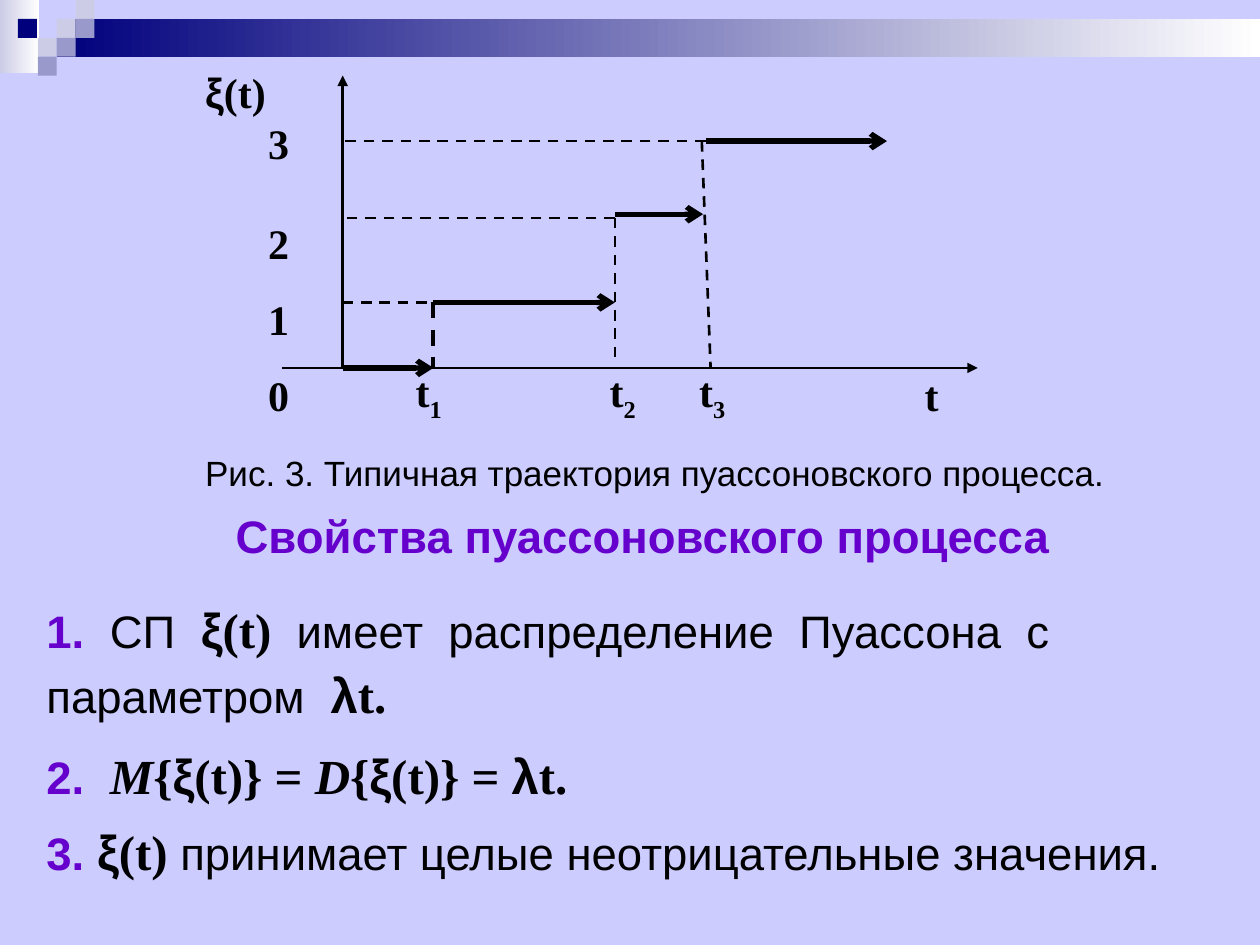
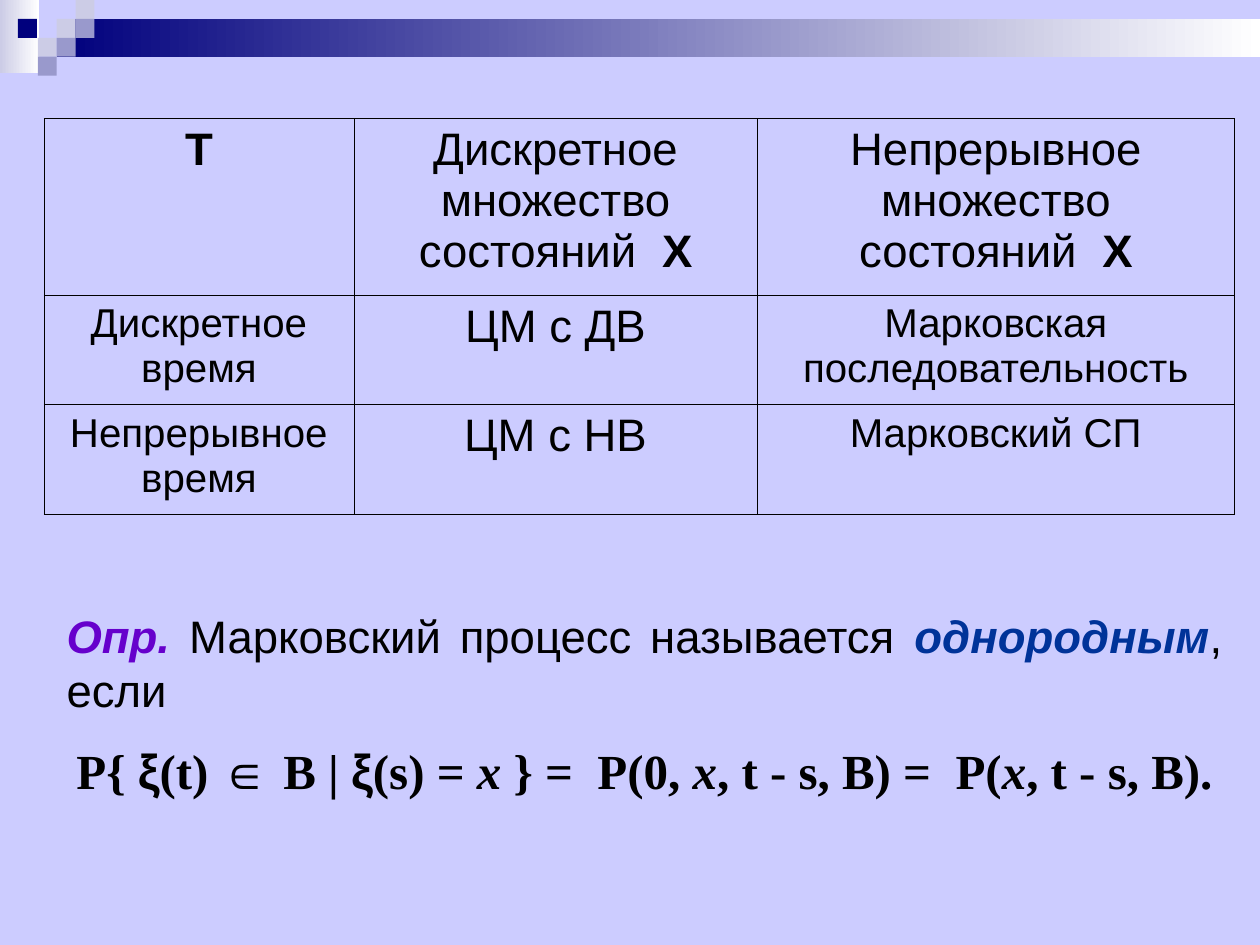
"""Two slides on the Poisson process and the classes of Markov processes."""
import pptx
import pptx.dml.color
import pptx.enum.dml
import pptx.enum.shapes
import pptx.enum.text
import pptx.oxml
import pptx.oxml.ns
import pptx.util
from lxml import etree

Inches, Pt = pptx.util.Inches, pptx.util.Pt
RGB = pptx.dml.color.RGBColor.from_string
ALIGN = pptx.enum.text.PP_ALIGN
RECTANGLE = pptx.enum.shapes.MSO_SHAPE.RECTANGLE
qn = pptx.oxml.ns.qn

COLORS = {"ground": "CCCCFF", "pale": "CCCCE6", "mid": "9999CC", "navy": "00007D",
          "white": "FFFFFF", "ink": "000000", "violet": "6600CC", "blue": "003399"}

STYLES = {
    "plain": ("Arial", 26, False, False, "ink"),
    "small": ("Arial", 23, False, False, "ink"),
    "strong": ("Arial", 26, True, False, "ink"),
    "caption": ("Arial", 20, False, False, "ink"),
    "heading": ("Arial", 26, True, False, "violet"),
    "definition": ("Arial", 26, True, True, "violet"),
    "term": ("Arial", 26, True, True, "blue"),
    "greek": ("Arial", 28, True, False, "ink"),
    "math": ("Times New Roman", 28, True, False, "ink"),
    "variable": ("Times New Roman", 28, True, True, "ink"),
    "axis greek": ("Arial", 24, True, False, "ink"),
    "axis": ("Times New Roman", 24, True, False, "ink"),
    "index": ("Times New Roman", 24, True, False, "ink"),
}


def write(paragraph, *pieces):
    """Add (style, text) pieces to a paragraph as runs."""
    for style, text in pieces:
        run = paragraph.add_run()
        run.text = text
        font = run.font
        font.name, size, font.bold, font.italic, color = STYLES[style]
        font.size = Pt(size)
        font.color.rgb = RGB(COLORS[color])
        if style == "index":
            font._element.set("baseline", "-25000")


def add_text(slide, left, top, width, height, wrap=True):
    """Add a vertically centred text box and return its text frame."""
    frame = slide.shapes.add_textbox(*map(Inches, (left, top, width, height))).text_frame
    frame.word_wrap = wrap
    frame.vertical_anchor = pptx.enum.text.MSO_ANCHOR.MIDDLE
    return frame


deck = pptx.Presentation()
deck.slide_width, deck.slide_height = Inches(10), Inches(7.5)
poisson = deck.slides.add_slide(deck.slide_layouts[5])
markov = deck.slides.add_slide(deck.slide_layouts[6])

master = deck.slide_master
master.background.fill.solid()
master.background.fill.fore_color.rgb = RGB(COLORS["ground"])

MODULE = 0.15
ornaments = [((0, 0, 0.31, 0.58), "pale", "white"),
             ((3 * MODULE, MODULE, 10 - 3 * MODULE, 2 * MODULE), "navy", "white")]
for column, row, color in [(3, 1, "pale"), (4, 0, "pale"), (4, 1, "mid"), (2, 2, "pale"),
                           (0.95, 1, "navy"), (3, 2, "mid"), (2, 3, "mid")]:
    ornaments.append(((column * MODULE, row * MODULE, MODULE, MODULE), color, None))
for number, (place, color, fade) in enumerate(ornaments, start=100):
    ornament = poisson.shapes.add_shape(RECTANGLE, *map(Inches, place))
    ornament.shadow.inherit = False
    ornament.line.fill.background()
    if fade:
        ornament.fill.gradient()
        ornament.fill.gradient_angle = 0
        for stop, tone, position in zip(ornament.fill.gradient_stops, (color, fade), (0, 1)):
            stop.color.rgb = RGB(COLORS[tone])
            stop.position = position
    else:
        ornament.fill.solid()
        ornament.fill.fore_color.rgb = RGB(COLORS[color])
    ornament.element.nvSpPr.cNvPr.set("id", str(number))
    master.shapes.element.append(ornament.element)

STEP = 0.72
origin = 2.72
t1, t2, t3, last, axis_end = [origin + STEP * n for n in (1, 3, 4, 6, 7)]
zero, one, two, three = 2.92, 2.4, 1.73, 1.12
jump = 1.7
trajectory = [
    (origin, zero, origin, 0.6, 1.5, "triangle"),
    (2.24, zero, axis_end, zero, 1.5, "triangle"),
    (origin, zero, t1, zero, 3, "arrow"),
    (t1, one, t2, one, 3, "arrow"),
    (t2, jump, t3 - 0.02, jump, 3, "arrow"),
    (t3, three, last, three, 3, "arrow"),
    (t1, one, t1, zero, 2.25, None),
    (t2, two, t2, 2.88, 1.5, None),
    (5.57, three, 5.64, zero, 1.5, None),
    (origin, one, t1, one, 1.5, None),
    (t2, two, origin, two, 1.5, None),
    (t3, three, origin, three, 1.5, None),
]
for x1, y1, x2, y2, weight, head in trajectory:
    segment = poisson.shapes.add_connector(pptx.enum.shapes.MSO_CONNECTOR.STRAIGHT,
                                           *map(Inches, (x1, y1, x2, y2)))
    segment.line.color.rgb = RGB(COLORS["ink"])
    segment.line.width = Pt(weight)
    if head:
        etree.SubElement(segment.get_or_add_ln(), qn("a:tailEnd"), type=head)
    else:
        segment.line.dash_style = pptx.enum.dml.MSO_LINE.DASH
    etree.SubElement(segment.element.spPr, qn("a:effectLst"))

LABEL_HEIGHT = 0.5
levels, times = 2.03, 3.13
labels = [
    (1.53, 0.73, [("axis greek", "ξ"), ("axis", "(t)")]),
    (levels, 1.13, [("axis", "3")]),
    (levels, 1.93, [("axis", "2")]),
    (levels, 2.53, [("axis", "1")]),
    (levels, times, [("axis", "0")]),
    (3.2, times, [("axis", "t"), ("index", "1")]),
    (4.74, times, [("axis", "t"), ("index", "2")]),
    (5.45, times, [("axis", "t"), ("index", "3")]),
    (7.24, times, [("axis", "t")]),
]
for left, middle, pieces in labels:
    label = add_text(poisson, left, middle - LABEL_HEIGHT / 2, 0.7, LABEL_HEIGHT)
    write(label.paragraphs[0], *pieces)

caption = add_text(poisson, 1.53, 3.5, 8.27, LABEL_HEIGHT)
write(caption.paragraphs[0], ("caption", "Рис. 3. Типичная траектория пуассоновского процесса."))

heading = poisson.shapes.title
heading.left, heading.top, heading.width, heading.height = map(Inches, (1.77, 3.98, 6.79, 0.54))
heading.text_frame.auto_size = pptx.enum.text.MSO_AUTO_SIZE.NONE
heading.text_frame.word_wrap = False
heading.text_frame.vertical_anchor = pptx.enum.text.MSO_ANCHOR.MIDDLE
heading.text_frame.paragraphs[0].alignment = ALIGN.LEFT
write(heading.text_frame.paragraphs[0], ("heading", "Свойства пуассоновского процесса"))

process = [("greek", "ξ"), ("math", "(t)")]
moment = [("math", "{"), ("greek", "ξ"), ("math", "(t)} = ")]
rate = [("greek", "λ"), ("math", "t.")]
properties = [
    (0, 6, [("heading", "1.  "), ("plain", "СП  "), *process,
            ("plain", "  имеет  распределение  Пуассона  с  параметром  "), *rate]),
    (3.5, 3.5, [("heading", "2.  "), ("variable", "М"), *moment,
                ("variable", "D"), *moment, *rate]),
    (3.3, 3.3, [("heading", "3. "), *process,
                ("plain", " принимает целые неотрицательные значения.")]),
]
listing = add_text(poisson, 0.27, 4.66, 9.45, 2.38)
for number, (before, after, pieces) in enumerate(properties):
    paragraph = listing.add_paragraph() if number else listing.paragraphs[0]
    paragraph.line_spacing = 1.1
    paragraph.space_before, paragraph.space_after = Pt(before), Pt(after)
    write(paragraph, *pieces)

classes = [
    [[("strong", "Т")],
     [("plain", "Дискретное множество состояний  "), ("strong", "Х")],
     [("plain", "Непрерывное множество состояний  "), ("strong", "Х")]],
    [[("small", "Дискретное время")], [("plain", "ЦМ с ДВ")],
     [("small", "Марковская последовательность")]],
    [[("small", "Непрерывное время")], [("plain", "ЦМ с НВ")], [("small", "Марковский СП")]],
]
table = markov.shapes.add_table(3, 3, *map(Inches, (0.35, 0.94, 9.45, 3.14))).table
table.first_row = table.horz_banding = False
for column, width in zip(table.columns, (2.46, 3.2, 3.79)):
    column.width = Inches(width)
for row, height, contents in zip(table.rows, (1.4, 0.87, 0.87), classes):
    row.height = Inches(height)
    for cell, pieces in zip(row.cells, contents):
        cell_format = cell._tc.get_or_add_tcPr()
        for side in ("a:lnL", "a:lnR", "a:lnT", "a:lnB"):
            border = etree.SubElement(cell_format, qn(side), w=str(Pt(0.45)))
            ink = etree.SubElement(border, qn("a:solidFill"))
            etree.SubElement(ink, qn("a:srgbClr"), val=COLORS["ink"])
        cell.fill.background()
        cell.text_frame.paragraphs[0].alignment = ALIGN.CENTER
        write(cell.text_frame.paragraphs[0], *pieces)

definition = add_text(markov, 0.43, 4.77, 9.37, 1.63)
statement = definition.paragraphs[0]
statement.alignment = ALIGN.JUSTIFY
write(statement, ("definition", "Опр. "), ("plain", "Марковский процесс называется "),
      ("term", "однородным"), ("plain", ", если"))
formula = definition.add_paragraph()
formula.alignment = ALIGN.CENTER
formula.line_spacing = 1.1
formula.space_before, formula.space_after = Pt(10.5), Pt(7)
write(formula, ("math", "P{ "), ("greek", "ξ"), ("math", "(t) "), ("greek", "∈ "),
      ("math", "B | "), ("greek", "ξ"), ("math", "(s) = "), ("variable", "x "),
      ("math", "} =  P(0, "), ("variable", "х"), ("math", ", t - s, В) =  P("),
      ("variable", "х"), ("math", ", t - s, В)."))

deck.save("out.pptx")
